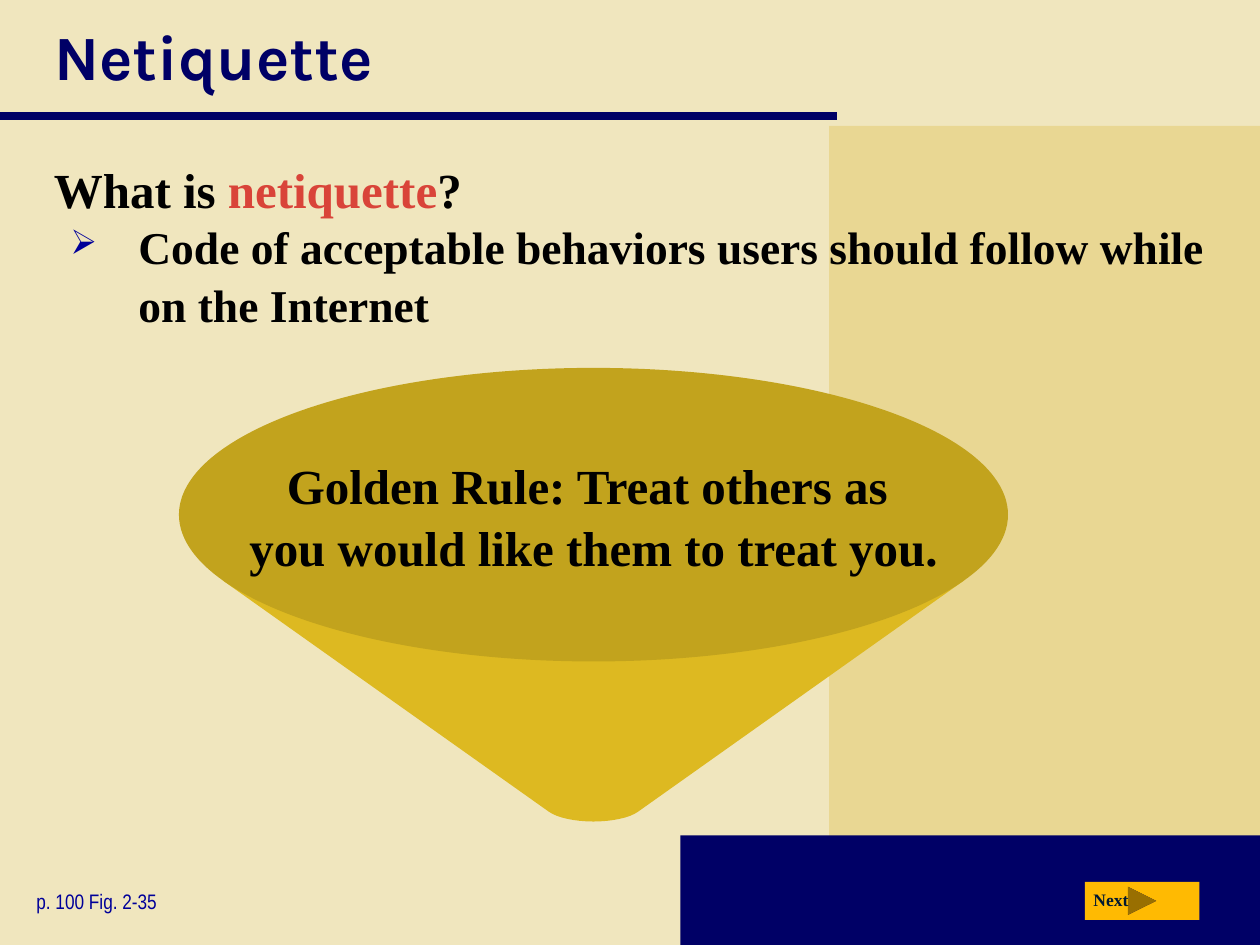
import math

from lxml import etree
from pptx import Presentation
from pptx.dml.color import RGBColor
from pptx.enum import shapes, text
from pptx.oxml import ns
from pptx.util import Inches, Pt

COLORS = {
    "cream": "F0E6BE", "sand": "E9D793", "navy": "000066", "blue": "000099",
    "red": "D94439", "black": "000000", "amber": "FFBA02", "ink": "001932",
    "cone top": "C2A31D", "cone side": "DDB921",
}
SERIF = "Times New Roman"


def rgb(name):
    return RGBColor.from_string(COLORS[name])


def style_run(run, size, color, font=SERIF, bold=True):
    run.font.name = font
    run.font.size = Pt(size)
    run.font.bold = bold
    run.font.color.rgb = rgb(color)


def fill_plain(shape, color):
    shape.shadow.inherit = False
    shape.fill.solid()
    shape.fill.fore_color.rgb = rgb(color)
    shape.line.fill.background()


def add_block(slide, kind, box, color):
    shape = slide.shapes.add_shape(kind, *map(Inches, box))
    fill_plain(shape, color)
    return shape


def add_text(slide, box, pieces, size, font=SERIF, bold=True):
    """Add a one-paragraph text box from (text, color) pieces."""
    frame = slide.shapes.add_textbox(*map(Inches, box)).text_frame
    frame.word_wrap = True
    paragraph = frame.paragraphs[0]
    for words, color in pieces:
        run = paragraph.add_run()
        run.text = words
        style_run(run, size, color, font, bold)
    return paragraph


def add_bullet(paragraph, symbol, color, margin, indent):
    properties = paragraph._p.get_or_add_pPr()
    properties.set("marL", str(Inches(margin)))
    properties.set("indent", str(Inches(indent)))
    bullet_color = etree.SubElement(properties, ns.qn("a:buClr"))
    etree.SubElement(bullet_color, ns.qn("a:srgbClr"), val=COLORS[color])
    etree.SubElement(properties, ns.qn("a:buSzPct"), val="75000")
    etree.SubElement(properties, ns.qn("a:buChar"), char=symbol)


def add_backdrop(slide):
    slide.background.fill.solid()
    slide.background.fill.fore_color.rgb = rgb("cream")
    rectangle = shapes.MSO_SHAPE.RECTANGLE
    add_block(slide, rectangle, (6.58, 1, 3.42, 6.5), "sand")
    add_block(slide, rectangle, (5.4, 6.63, 4.6, 0.87), "navy")
    rule = slide.shapes.add_connector(
        shapes.MSO_CONNECTOR.STRAIGHT,
        Inches(0), Inches(0.92), Inches(6.64), Inches(0.92))
    rule.line.color.rgb = rgb("navy")
    rule.line.width = Pt(5)
    etree.SubElement(rule._element.spPr, ns.qn("a:effectLst"))


def set_title(slide, box, words):
    title = slide.shapes.title
    title.left, title.top, title.width, title.height = map(Inches, box)
    frame = title.text_frame
    frame.text = words
    frame.vertical_anchor = text.MSO_ANCHOR.MIDDLE
    frame.paragraphs[0].alignment = text.PP_ALIGN.LEFT
    style_run(frame.paragraphs[0].runs[0], 36, "navy", "Karla")


def add_definition(slide, left, top, width):
    question = add_text(
        slide, (left, top, width, 0.64),
        [("What is ", "black"), ("netiquette", "red"), ("?", "black")], 28)
    question.line_spacing = 1.05
    answer = add_text(
        slide, (left, top + 0.48, width, 1.1),
        [("Code of acceptable behaviors users should follow while "
          "on the Internet", "black")], 26)
    add_bullet(answer, "➢", "blue", 0.67, -0.54)
    answer.line_spacing = 1.05


def add_cone(slide, box, depth, words):
    """Draw an ellipse with sides running tangent to a small rounded tip."""
    left, top, width, height = box
    center_x, center_y = left + width / 2, top + height / 2
    tip = 0.12
    tip_y = top + depth - tip * height / 2
    tangent = math.asin((1 - tip) * height / 2 / (tip_y - center_y))

    def rim_point(angle, middle_y, scale):
        return (Inches(center_x + scale * width / 2 * math.cos(angle)),
                Inches(middle_y + scale * height / 2 * math.sin(angle)))

    steps = 16
    arc = [tangent + (math.pi - 2 * tangent) * step / steps
           for step in range(steps + 1)]
    outline = [rim_point(angle, tip_y, tip) for angle in arc]
    outline.append(rim_point(arc[-1], center_y, 1))
    builder = slide.shapes.build_freeform(*rim_point(arc[0], center_y, 1))
    builder.add_line_segments(outline, close=True)
    fill_plain(builder.convert_to_shape(), "cone side")

    ellipse = add_block(slide, shapes.MSO_SHAPE.OVAL, box, "cone top")
    frame = ellipse.text_frame
    frame.word_wrap = False
    frame.vertical_anchor = text.MSO_ANCHOR.MIDDLE
    paragraph = frame.paragraphs[0]
    paragraph.text = words
    paragraph.alignment = text.PP_ALIGN.CENTER
    paragraph.line_spacing = 1.05
    for run in paragraph.runs:
        style_run(run, 28, "black")


def add_next_button(slide, left, top):
    add_block(slide, shapes.MSO_SHAPE.ACTION_BUTTON_FORWARD_OR_NEXT,
              (left, top, 0.91, 0.3), "amber")
    add_text(slide, (left - 0.03, top + 0.01, 0.55, 0.27),
             [("Next", "ink")], 10)


def main():
    presentation = Presentation()
    presentation.slide_width = Inches(10)
    presentation.slide_height = Inches(7.5)
    slide = presentation.slides.add_slide(presentation.slide_layouts[5])
    add_backdrop(slide)
    set_title(slide, (0.33, 0, 9.39, 0.88), "Netiquette")
    add_text(slide, (0.19, 7, 1.69, 0.3), [("p. 100 Fig. 2-35", "blue")],
             12, "Arial Narrow", bold=False)
    add_next_button(slide, 8.61, 7)
    add_cone(slide, (1.42, 2.92, 6.58, 2.33), 3.6,
             "Golden Rule: Treat others as \vyou would like them to treat you.")
    add_definition(slide, 0.33, 1.19, 9.39)
    presentation.save("out.pptx")


if __name__ == "__main__":
    main()
